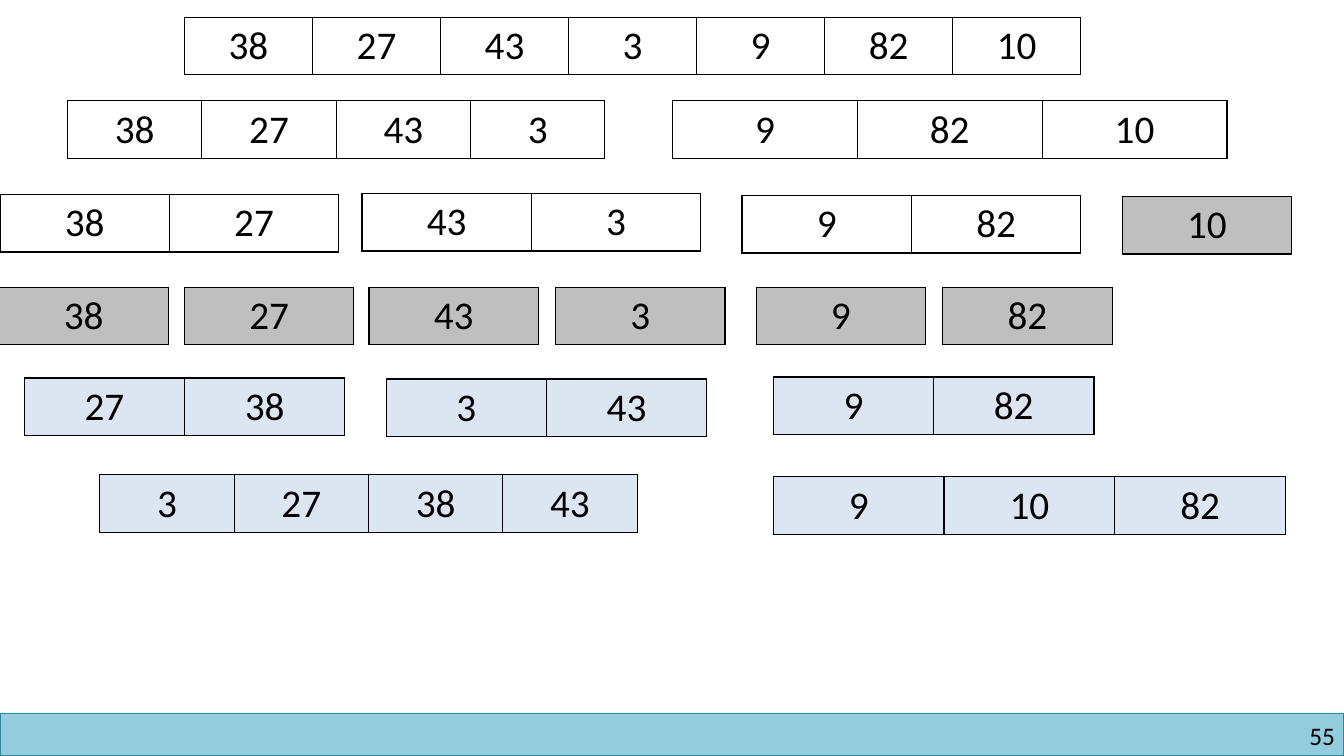
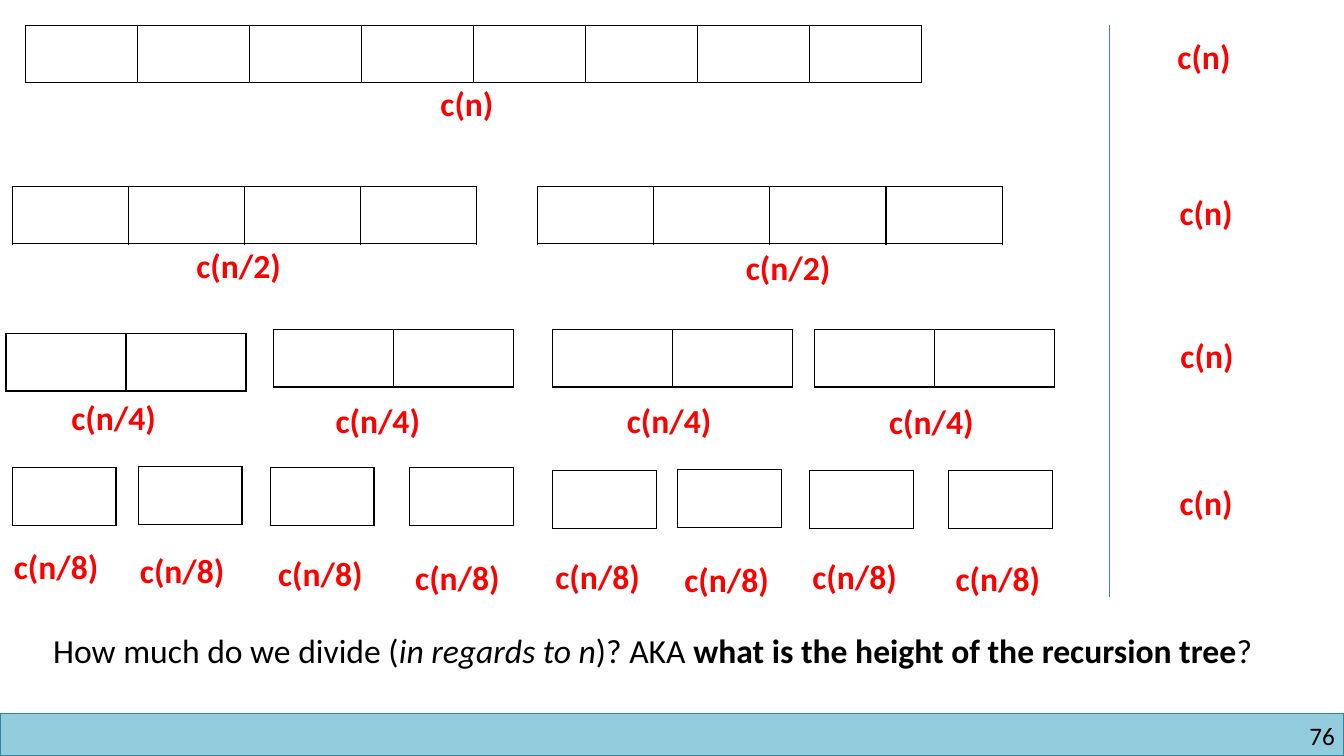
from lxml import etree
from pptx import Presentation
from pptx import util as u
from pptx.dml.color import RGBColor
from pptx.enum import shapes, text
from pptx.oxml import ns

COLORS = {
    "band": "93CDDD",
    "band_edge": "31859C",
    "ink": "000000",
    "cost": "FF0000",
    "divider": "4B7EBC",
    "split": "FFFFFF",
    "single": "BFBFBF",
    "merged": "DCE6F2",
}
FONT = "Calibri"
PAGE_WIDTH, PAGE_HEIGHT = 13.33, 7.5
BAND_HEIGHT = 0.42
CELL_HEIGHT = 0.57

SORT_LEVELS = [
    ("split", 8.89, [(1.83, 0.17, "38 27 43 3 9 82 10")]),
    ("split", 5.33, [(0.67, 1, "38 27 43 3")]),
    ("split", 5.5, [(6.67, 1, "9 82 10")]),
    ("split", 3.36, [(0, 1.93, "38 27"), (3.59, 1.92, "43 3"), (7.36, 1.94, "9 82")]),
    ("single", 1.68, [(11.13, 1.95, "10"), (-0.01, 2.85, "38"), (1.83, 2.85, "27"),
                      (3.66, 2.85, "43"), (5.51, 2.85, "3"), (7.5, 2.85, "9"),
                      (9.35, 2.85, "82")]),
    ("merged", 3.18, [(0.24, 3.75, "27 38"), (3.83, 3.76, "3 43"), (7.67, 3.74, "9 82")]),
    ("merged", 5.33, [(0.99, 4.71, "3 27 38 43")]),
    ("merged", 5.08, [(7.67, 4.73, "9 10 82")]),
]

COST_LEVELS = [
    ("c(n)", 8, 8.89, [(0.25, 0.25)], [(4.27, 0.77)]),
    ("c(n/2)", 4, 4.61, [(0.12, 1.85), (5.33, 1.85)], [(1.85, 2.38), (7.3, 2.4)]),
    ("c(n/4)", 2, 2.38,
     [(0.06, 3.31), (2.71, 3.27), (5.48, 3.27), (8.08, 3.27)],
     [(0.61, 3.89), (3.23, 3.92), (6.12, 3.92), (8.72, 3.93)]),
    ("c(n/8)", 1, 1.03,
     [(0.12, 4.64), (1.37, 4.63), (2.68, 4.64), (4.06, 4.64),
      (5.48, 4.67), (6.72, 4.66), (8.03, 4.67), (9.41, 4.67)],
     [(0.04, 5.37), (1.29, 5.41), (2.66, 5.44), (4.02, 5.48),
      (5.41, 5.47), (6.69, 5.5), (7.96, 5.47), (9.38, 5.49)]),
]
LEVEL_TOTALS = [(11.58, 0.31), (11.6, 1.85), (11.61, 3.27), (11.6, 4.73)]

QUESTION = [
    ("How much do we divide (", {}),
    ("in regards to n", {"italic": True}),
    (")? AKA ", {}),
    ("what is the height of the recursion tree", {"bold": True}),
    ("?", {}),
]


def rgb(name):
    """Return the named colour."""
    return RGBColor.from_string(COLORS[name])


def add_span(para, words, size, color="ink", bold=False, italic=False):
    """Add one formatted run to a paragraph."""
    span = para.add_run()
    span.text = words
    font = span.font
    font.name, font.size = FONT, u.Pt(size)
    font.bold, font.italic = bold, italic
    font.color.rgb = rgb(color)


def add_box(page, left, top, width, height, wrap=True):
    """Add a text box and return its text frame."""
    box = page.shapes.add_textbox(*map(u.Inches, (left, top, width, height)))
    frame = box.text_frame
    frame.word_wrap = wrap
    frame.auto_size = text.MSO_AUTO_SIZE.SHAPE_TO_FIT_TEXT
    return frame


def add_page(deck, number):
    """Add a blank page with the footer band and its page number."""
    page = deck.slides.add_slide(deck.slide_layouts[6])
    top = PAGE_HEIGHT - BAND_HEIGHT
    band = page.shapes.add_shape(
        shapes.MSO_SHAPE.RECTANGLE,
        *map(u.Inches, (0, top, PAGE_WIDTH, BAND_HEIGHT)))
    band.shadow.inherit = False
    band.fill.solid()
    band.fill.fore_color.rgb = rgb("band")
    band.line.color.rgb = rgb("band_edge")
    band.line.width = u.Pt(1)
    frame = add_box(page, 10.17, top + 0.07, 3.07, 0.3)
    frame.margin_left = frame.margin_right = 0
    frame.margin_top = frame.margin_bottom = 0
    para = frame.paragraphs[0]
    para.alignment = text.PP_ALIGN.RIGHT
    add_span(para, str(number), 18)
    return page


def add_borders(cell):
    """Draw a thin line on all four sides of a cell."""
    properties = cell._tc.get_or_add_tcPr()
    for side in ("a:lnL", "a:lnR", "a:lnT", "a:lnB"):
        line = etree.SubElement(properties, ns.qn(side), w=str(u.Pt(1)))
        fill = etree.SubElement(line, ns.qn("a:solidFill"))
        etree.SubElement(fill, ns.qn("a:srgbClr"), val=COLORS["ink"])


def add_array(page, left, top, width, values, fill):
    """Draw an array as a one-row table of equal cells."""
    frame = page.shapes.add_table(
        1, len(values), *map(u.Inches, (left, top, width, CELL_HEIGHT)))
    table = frame.table
    table.first_row = table.horz_banding = False
    for column, value in enumerate(values):
        table.columns[column].width = u.Inches(width / len(values))
        cell = table.cell(0, column)
        add_borders(cell)
        cell.fill.solid()
        cell.fill.fore_color.rgb = rgb(fill)
        if value:
            para = cell.text_frame.paragraphs[0]
            para.alignment = text.PP_ALIGN.CENTER
            add_span(para, value, 28)


def add_cost(page, left, top, cost):
    """Place a cost label with its box at the given corner."""
    width = 0.82 if cost == "c(n)" else 1.1
    frame = add_box(page, left, top, width, 0.5, wrap=False)
    add_span(frame.paragraphs[0], cost, 24, "cost", bold=True)


def add_divider(page, left, top, bottom):
    """Draw the vertical rule before the level totals."""
    line = page.shapes.add_connector(
        shapes.MSO_CONNECTOR.STRAIGHT, *map(u.Inches, (left, top, left, bottom)))
    line.line.color.rgb = rgb("divider")
    line.line.width = u.Pt(0.75)
    etree.SubElement(line._element.spPr, ns.qn("a:effectLst"))


def build_sort_page(deck):
    """Build the page that splits and merges the numbers."""
    page = add_page(deck, 55)
    for fill, width, arrays in SORT_LEVELS:
        for left, top, values in arrays:
            add_array(page, left, top, width, values.split(), fill)


def build_cost_page(deck):
    """Build the page with the recursion tree and its costs."""
    page = add_page(deck, 76)
    for cost, count, width, arrays, labels in COST_LEVELS:
        for left, top in arrays:
            add_array(page, left, top, width, [""] * count, "split")
        for left, top in labels:
            add_cost(page, left, top, cost)
    for left, top in LEVEL_TOTALS:
        add_cost(page, left, top, "c(n)")
    add_divider(page, 11, 0.25, 5.92)
    para = add_box(page, 0.43, 6.2, 12.17, 0.5).paragraphs[0]
    for words, style in QUESTION:
        add_span(para, words, 24, **style)


def main():
    """Build and save the deck."""
    deck = Presentation()
    deck.slide_width = u.Inches(PAGE_WIDTH)
    deck.slide_height = u.Inches(PAGE_HEIGHT)
    build_sort_page(deck)
    build_cost_page(deck)
    deck.save("out.pptx")


if __name__ == "__main__":
    main()
